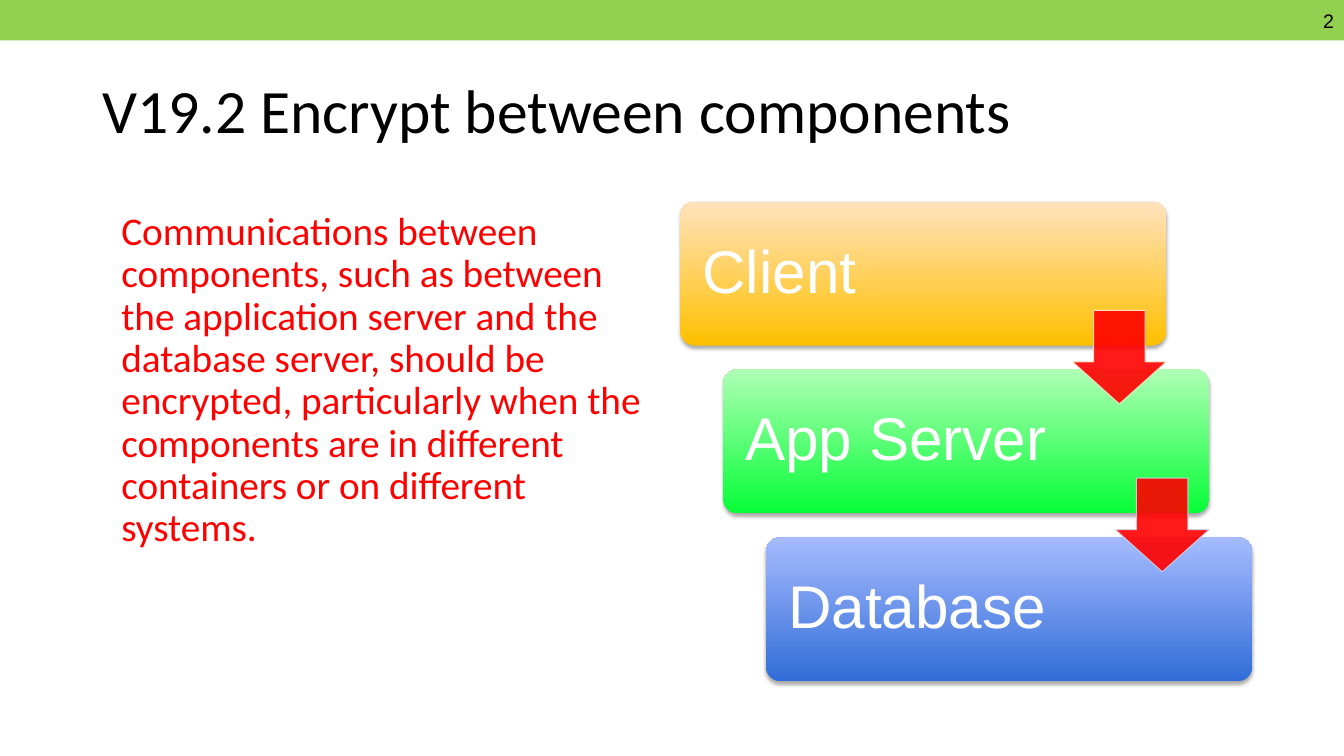
from lxml.etree import SubElement
from pptx import Presentation
from pptx.dml.color import RGBColor
from pptx.enum.shapes import MSO_SHAPE
from pptx.enum.text import MSO_ANCHOR, PP_ALIGN
from pptx.oxml.ns import qn
from pptx.util import Cm, Pt

HUES = {
    "bar": "92D050", "black": "000000", "white": "FFFFFF", "red": "FF0000",
    "gold": "FFC000", "peach": "FFE2BD", "green": "06FE37", "mint": "AFFFB5",
    "blue": "316DD7", "sky": "A6BBFF", "cream": "FFE8CC", "mist": "CFD6EA",
}


def hue(name):
    return RGBColor.from_string(HUES[name])


class Deck:
    """Holds the style and the current slide."""

    head, sans = "Calibri", "Arial"
    inset = 0.25

    def __init__(self):
        self.prs = Presentation()
        self.prs.slide_width, self.prs.slide_height = Cm(33.87), Cm(19.05)
        self.slide = self.prs.slides.add_slide(self.prs.slide_layouts[6])

    def label(self, item, text, size, font, color, inset=inset, anchor=MSO_ANCHOR.MIDDLE,
              align=PP_ALIGN.LEFT, space=0.9, indent=0):
        frame = item.text_frame
        frame.word_wrap = True
        frame.vertical_anchor = anchor
        frame.margin_left = frame.margin_right = Cm(inset)
        frame.margin_top = frame.margin_bottom = Cm(inset)
        para = frame.paragraphs[0]
        para.alignment, para.line_spacing = align, space
        if indent:
            para._p.get_or_add_pPr().set("marL", str(Cm(indent)))
        run = para.add_run()
        run.text = text
        run.font.size, run.font.name = Pt(size), font
        run.font.color.rgb = hue(color)

    def text(self, area, text, size, color, **style):
        box = self.slide.shapes.add_textbox(*map(Cm, area))
        self.label(box, text, size, self.head, color, **style)

    def shape(self, kind, area, fill=None):
        item = self.slide.shapes.add_shape(kind, *map(Cm, area))
        item.shadow.inherit = False
        item.line.fill.background()
        if fill:
            item.fill.solid()
            item.fill.fore_color.rgb = hue(fill)
        return item

    def bar(self, area, number):
        item = self.shape(MSO_SHAPE.RECTANGLE, area, "bar")
        self.label(item, number, 14, self.sans, "black", align=PP_ALIGN.RIGHT, space=1)

    def tier(self, area, name, base, top):
        item = self.shape(MSO_SHAPE.ROUNDED_RECTANGLE, area)
        item.adjustments[0] = 0.1
        item.fill.gradient()
        item.fill.gradient_angle = 90
        for stop, tone in zip(item.fill.gradient_stops, (base, top)):
            stop.color.rgb = hue(tone)
        # Soft shadow below the box
        effects = item._element.spPr.find(qn("a:effectLst"))
        shade = SubElement(effects, qn("a:outerShdw"), blurRad=str(Pt(3.1)),
                           dist=str(Pt(1.8)), dir="5400000", rotWithShape="0")
        color = SubElement(shade, qn("a:srgbClr"), val=HUES["black"])
        SubElement(color, qn("a:alpha"), val="35000")
        self.label(item, name, 43, self.sans, "white", inset=0.45)

    def arrow(self, area, edge):
        item = self.shape(MSO_SHAPE.DOWN_ARROW, area, "red")
        item.adjustments[0], item.adjustments[1] = 0.55, 0.45
        item.line.color.rgb = hue(edge)
        item.line.width = Pt(0.75)
        # Fill and edge are slightly see-through
        for color in item._element.spPr.iter(qn("a:srgbClr")):
            SubElement(color, qn("a:alpha"), val="90000")


def main():
    deck = Deck()

    # Top bar, title and body
    deck.bar((0, 0, 33.87, 1.02), "2")
    deck.text((2.33, 1.02, 29.21, 3.68), "V19.2 Encrypt between components", 44, "black")
    deck.text((2.33, 5.08, 14.4, 12.09),
              "Communications between components, such as between the application server "
              "and the database server, should be encrypted, particularly when the "
              "components are in different containers or on different systems.",
              28, "red", anchor=MSO_ANCHOR.TOP, indent=0.48)

    # Staircase of tiers
    left, top, wide, high = 17.15, 5.08, 12.24, 3.63
    across, down = 1.08, 4.23
    tiers = [("Client", "gold", "peach"), ("App Server", "green", "mint"),
             ("Database", "blue", "sky")]
    for i, tier in enumerate(tiers):
        deck.tier((left + i * across, top + i * down, wide, high), *tier)

    # Arrows flush with the right edge of the tier above
    side, drop = 2.36, 2.74
    for i, edge in enumerate(("cream", "mist")):
        deck.arrow((left + wide - side + i * across, top + drop + i * down, side, side), edge)

    deck.prs.save("out.pptx")


if __name__ == "__main__":
    main()
